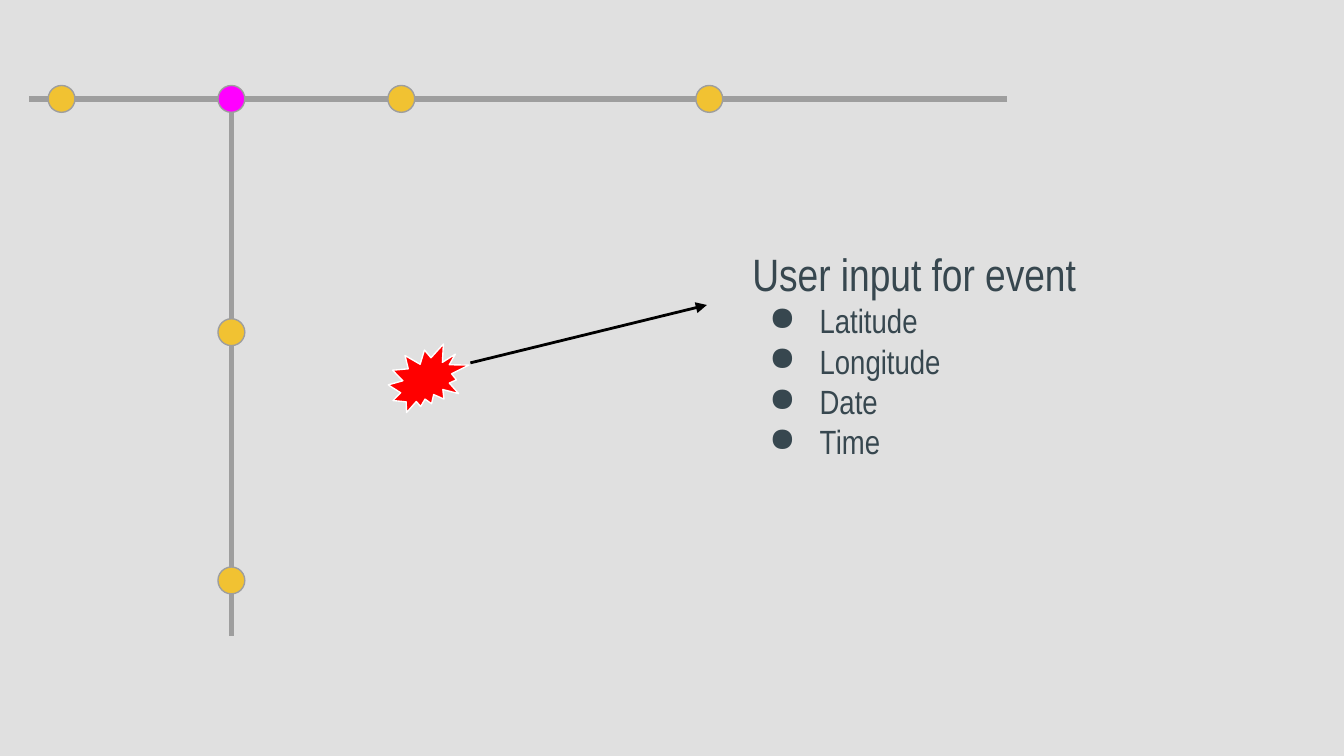
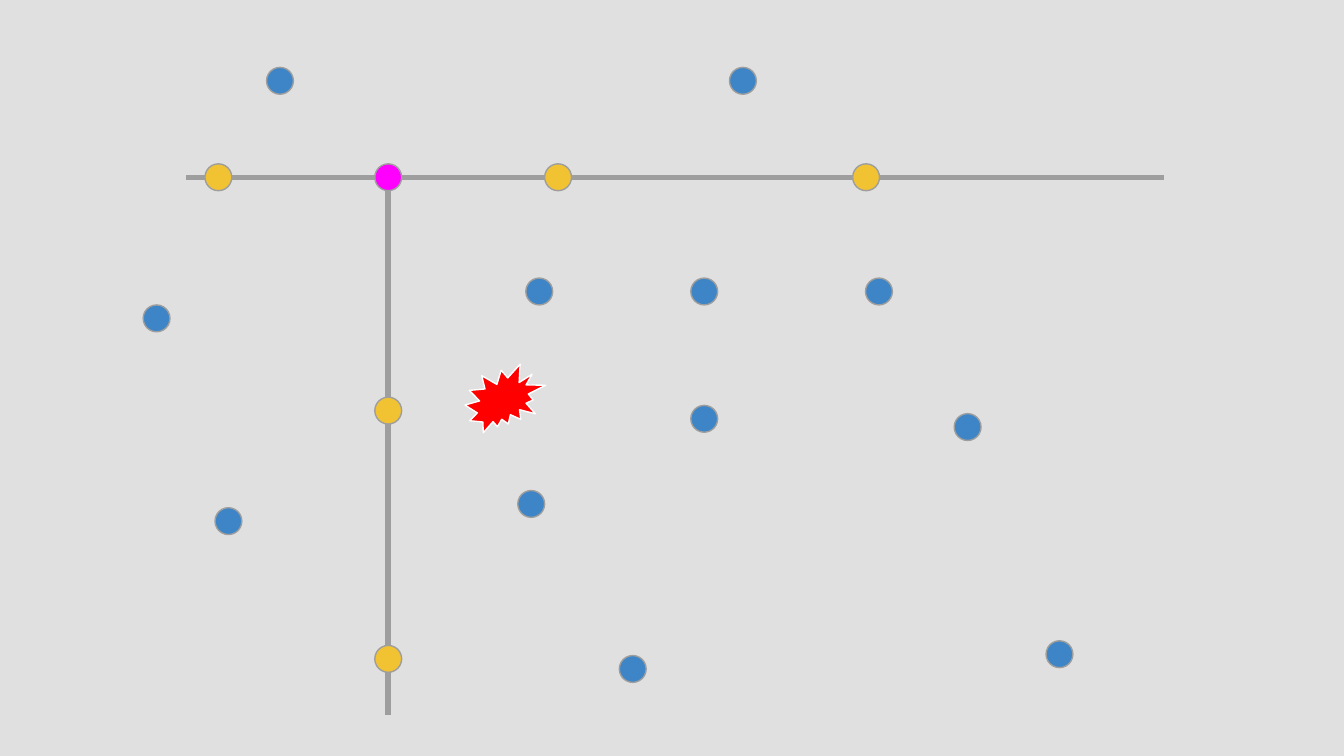
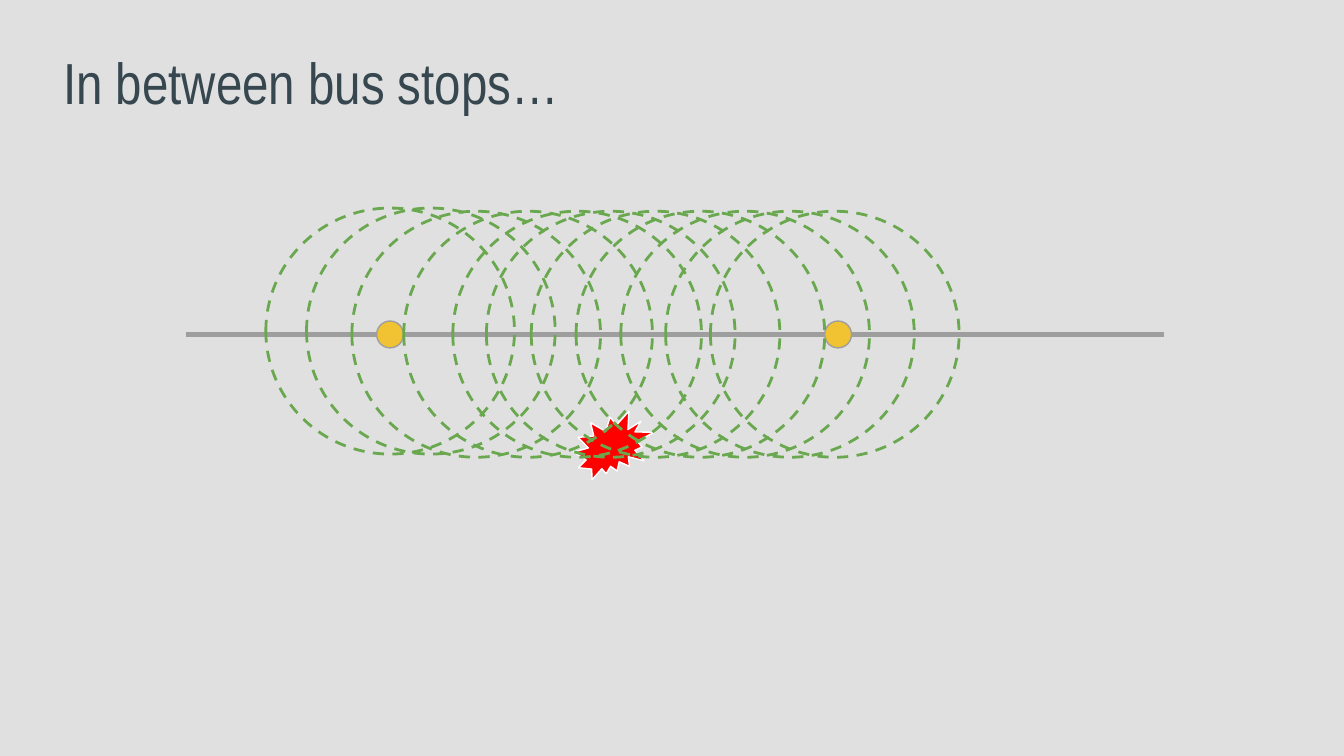
from lxml.etree import SubElement
from pptx import Presentation
from pptx.dml.color import RGBColor
from pptx.enum.dml import MSO_LINE
from pptx.enum.shapes import MSO_CONNECTOR, MSO_SHAPE
from pptx.enum.text import MSO_ANCHOR
from pptx.oxml.ns import qn
from pptx.util import Pt

# Shared style
FONT = "Arial Narrow"
BACKGROUND, TEXT = "E0E0E0", "37474F"
ROUTE, STOP, TRANSFER = "9E9E9E", "F1C232", "FF00FF"
SENSOR, RANGE = "3D85C6", "6AA84F"
EVENT, EVENT_EDGE, ARROW = "FF0000", "FFFFFF", "000000"
DOT_SIZE = 14.4
EVENT_SIZE = (43.2, 36.7)
RANGE_SIZE = (133.2, 131.8)

# Route map, measured from the transfer stop
ROUTE_START, ROUTE_END, BRANCH_LENGTH = -108.5, 415.5, 288
ROUTE_STOPS = [91, 256, -91]
BRANCH_STOPS = [258, 125]


def color(value):
    return RGBColor.from_string(value)


def write(paragraph, text, size=18, fill=TEXT, bullet=None):
    """Put formatted text in a paragraph, with a hanging bullet if given."""
    run = paragraph.add_run()
    run.text = text
    run.font.name = FONT
    run.font.size = Pt(size)
    run.font.color.rgb = color(fill)
    if bullet:
        properties = paragraph._p.get_or_add_pPr()
        properties.set("marL", str(Pt(36)))
        properties.set("indent", str(Pt(-27)))
        bullet_color = SubElement(properties, qn("a:buClr"))
        SubElement(bullet_color, qn("a:srgbClr"), val=fill)
        SubElement(properties, qn("a:buChar"), char=bullet)


class Deck:
    def __init__(self):
        self.presentation = Presentation()
        self.presentation.slide_width = Pt(720)
        self.presentation.slide_height = Pt(405)
        self.slide = None

    def new_slide(self):
        self.slide = self.presentation.slides.add_slide(self.presentation.slide_layouts[6])
        background = self.slide.background.fill
        background.solid()
        background.fore_color.rgb = color(BACKGROUND)

    def line(self, start, end, stroke=ROUTE, width=3, arrow=False):
        points = [Pt(value) for value in (*start, *end)]
        connector = self.slide.shapes.add_connector(MSO_CONNECTOR.STRAIGHT, *points)
        connector.line.color.rgb = color(stroke)
        connector.line.width = Pt(width)
        if arrow:
            SubElement(connector.line._get_or_add_ln(), qn("a:tailEnd"), type="triangle")
        SubElement(connector._element.spPr, qn("a:effectLst"))

    def shape(self, kind, left, top, size, fill=None, stroke=ROUTE, width=0.75, dash=None):
        box = [Pt(value) for value in (left, top, *size)]
        shape = self.slide.shapes.add_shape(kind, *box)
        shape.shadow.inherit = False
        if fill:
            shape.fill.solid()
            shape.fill.fore_color.rgb = color(fill)
        else:
            shape.fill.background()
        shape.line.color.rgb = color(stroke)
        shape.line.width = Pt(width)
        if dash:
            shape.line.dash_style = dash

    def dot(self, x, y, fill=STOP):
        radius = DOT_SIZE / 2
        self.shape(MSO_SHAPE.OVAL, x - radius, y - radius, (DOT_SIZE, DOT_SIZE), fill)

    def event(self, left, top):
        self.shape(MSO_SHAPE.EXPLOSION2, left, top, EVENT_SIZE, EVENT, EVENT_EDGE)

    def range_circle(self, left, top):
        self.shape(MSO_SHAPE.OVAL, left, top, RANGE_SIZE, stroke=RANGE, width=1.5,
                   dash=MSO_LINE.DASH)

    def text(self, left, top, width, height, heading, size, bullets=()):
        box = [Pt(value) for value in (left, top, width, height)]
        frame = self.slide.shapes.add_textbox(*box).text_frame
        frame.word_wrap = True
        frame.vertical_anchor = MSO_ANCHOR.TOP
        frame.margin_left = frame.margin_right = Pt(7.2)
        frame.margin_top = frame.margin_bottom = Pt(7.2)
        write(frame.paragraphs[0], heading, size=size)
        for item in bullets:
            write(frame.add_paragraph(), item, bullet="●")

    def route_map(self, x, y):
        self.line((x, y), (x, y + BRANCH_LENGTH))
        self.line((x + ROUTE_END, y), (x + ROUTE_START, y))
        for offset in BRANCH_STOPS:
            self.dot(x, y + offset)
        for offset in ROUTE_STOPS:
            self.dot(x + offset, y)
        self.dot(x, y, TRANSFER)


def event_input(deck):
    deck.new_slide()
    deck.route_map(124, 53)
    deck.event(208, 184.3)
    deck.text(396, 124.6, 258.5, 131.8, "User input for event", 24.3,
              ["Latitude", "Longitude", "Date", "Time"])
    deck.line((252, 194.4), (378.7, 163.4), ARROW, 1.5, arrow=True)


def event_among_sensors(deck):
    deck.new_slide()
    deck.route_map(208, 95)
    deck.event(249.1, 195.1)
    sensors = [(377.3, 156.2), (284.6, 270), (470.9, 156.2), (377.3, 224.4),
               (518.4, 228.8), (288.9, 156.2), (567.6, 350.5), (339, 358.4),
               (83.9, 170.6), (122.4, 279.2), (398, 43.3), (150, 43.3)]
    for x, y in sensors:
        deck.dot(x, y, SENSOR)


def between_stops(deck):
    deck.new_slide()
    route_y = 179.2
    deck.line((623.5, route_y), (99.5, route_y))
    for x in (209, 449):
        deck.dot(x, route_y)
    deck.event(307.4, 220.3)

    # Search ranges moving from one stop to the next
    for left in (142.4, 164.2):
        deck.range_circle(left, 111.5)
    for left in [188.5, 216.3, 242.6] + [260.6 + 24 * step for step in range(6)]:
        deck.range_circle(left, 113.2)
    deck.text(26.8, 18, 658, 131.8, "In between bus stops…", 31)


def main():
    deck = Deck()
    event_input(deck)
    event_among_sensors(deck)
    between_stops(deck)
    deck.presentation.save("out.pptx")


if __name__ == "__main__":
    main()
